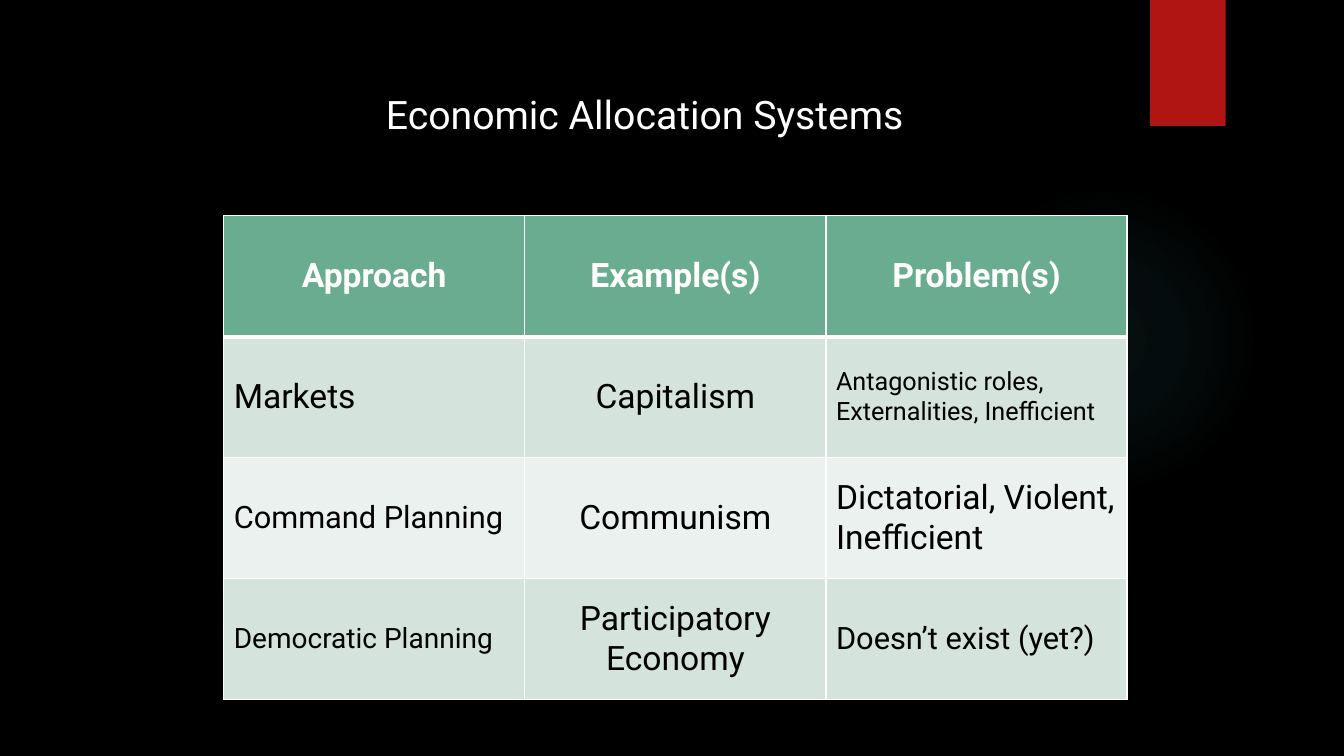
from dataclasses import dataclass

from lxml.etree import SubElement
from pptx import Presentation
from pptx.dml.color import RGBColor
from pptx.enum.shapes import MSO_SHAPE
from pptx.enum.text import MSO_ANCHOR, MSO_AUTO_SIZE, PP_ALIGN
from pptx.oxml import parse_xml
from pptx.oxml.ns import nsdecls, qn
from pptx.util import Pt


@dataclass(frozen=True)
class Theme:
    font: str = "Roboto"
    background: str = "000000"
    light: str = "FFFFFF"
    dark: str = "000000"
    ribbon: str = "B01513"
    glow: str = "50B9C1"
    header: str = "6AAC90"
    bands: tuple = ("D4E3DB", "EBF1EE")
    title_size: int = 28
    large: int = 24
    medium: int = 22
    small: int = 20
    tiny: int = 18


THEME = Theme()
HEADINGS = ("Approach", "Example(s)", "Problem(s)")
SYSTEMS = (
    (("Markets", THEME.large), ("Capitalism", THEME.large),
     ("Antagonistic roles, Externalities, Inefficient", THEME.tiny)),
    (("Command Planning", THEME.medium), ("Communism", THEME.large),
     ("Dictatorial, Violent, Inefficient", THEME.large)),
    (("Democratic Planning", THEME.small), ("Participatory Economy", THEME.large),
     ("Doesn’t exist (yet?)", THEME.medium)),
)
GLOW_STOPS = ((0, 7), (36, 6), (69, 0))
EXAMPLE_COLUMN = 1


def add_run(paragraph, text, size, color, bold=False):
    run = paragraph.add_run()
    run.text = text
    run.font.name = THEME.font
    run.font.size = Pt(size)
    run.font.bold = bold
    run.font.color.rgb = RGBColor.from_string(color)


def add_plain_shape(slide, preset, left, top, width, height):
    shape = slide.shapes.add_shape(preset, Pt(left), Pt(top), Pt(width), Pt(height))
    shape.shadow.inherit = False
    shape.line.fill.background()
    return shape


def add_glow(slide):
    glow = add_plain_shape(slide, MSO_SHAPE.OVAL, 677.5, 131.8, 221.8, 221.8)
    stops = "".join(
        f'<a:gs pos="{position * 1000}"><a:srgbClr val="{THEME.glow}">'
        f'<a:alpha val="{alpha * 1000}"/></a:srgbClr></a:gs>'
        for position, alpha in GLOW_STOPS
    )
    gradient = parse_xml(
        f'<a:gradFill {nsdecls("a")} rotWithShape="1"><a:gsLst>{stops}</a:gsLst>'
        '<a:path path="circle"><a:fillToRect l="50000" t="50000" r="50000" b="50000"/>'
        '</a:path></a:gradFill>'
    )
    glow.element.spPr.find(qn("a:prstGeom")).addnext(gradient)


def add_ribbon(slide):
    ribbon = add_plain_shape(slide, MSO_SHAPE.RECTANGLE, 821.5, 0, 54, 90)
    ribbon.fill.solid()
    ribbon.fill.fore_color.rgb = RGBColor.from_string(THEME.ribbon)
    effects = ribbon.element.spPr.find(qn("a:effectLst"))
    shadow = SubElement(effects, qn("a:outerShdw"), blurRad=str(Pt(3)),
                        dist=str(Pt(2)), dir="5400000", rotWithShape="0")
    shade = SubElement(shadow, qn("a:srgbClr"), val=THEME.dark)
    SubElement(shade, qn("a:alpha"), val="45000")


def add_title(slide, text):
    title = slide.shapes.add_textbox(Pt(268.6), Pt(61.2), Pt(422.6), Pt(41))
    frame = title.text_frame
    frame.word_wrap = True
    frame.auto_size = MSO_AUTO_SIZE.SHAPE_TO_FIT_TEXT
    add_run(frame.paragraphs[0], text, THEME.title_size, THEME.light)


def set_borders(cell, top, bottom):
    properties = cell._tc.get_or_add_tcPr()
    for side, width in (("L", 1), ("R", 1), ("T", top), ("B", bottom)):
        border = SubElement(properties, qn(f"a:ln{side}"), w=str(Pt(width)))
        fill = SubElement(border, qn("a:solidFill"))
        SubElement(fill, qn("a:srgbClr"), val=THEME.light)


def fill_cell(cell, text, size, color, background, centered, bold=False, top=1, bottom=1):
    set_borders(cell, top, bottom)
    cell.fill.solid()
    cell.fill.fore_color.rgb = RGBColor.from_string(background)
    cell.vertical_anchor = MSO_ANCHOR.MIDDLE
    paragraph = cell.text_frame.paragraphs[0]
    paragraph.alignment = PP_ALIGN.CENTER if centered else PP_ALIGN.LEFT
    add_run(paragraph, text, size, color, bold)


def add_systems_table(slide):
    frame = slide.shapes.add_table(len(SYSTEMS) + 1, len(HEADINGS),
                                   Pt(159.8), Pt(154.1), Pt(645.3), Pt(345.6))
    table = frame.table
    for column, heading in enumerate(HEADINGS):
        fill_cell(table.cell(0, column), heading, THEME.large, THEME.light,
                  THEME.header, centered=True, bold=True, bottom=3)
    for row, system in enumerate(SYSTEMS, start=1):
        band = THEME.bands[(row - 1) % len(THEME.bands)]
        for column, (text, size) in enumerate(system):
            fill_cell(table.cell(row, column), text, size, THEME.dark, band,
                      centered=column == EXAMPLE_COLUMN, top=3 if row == 1 else 1)


def main():
    presentation = Presentation()
    presentation.slide_width = Pt(960)
    presentation.slide_height = Pt(540)
    slide = presentation.slides.add_slide(presentation.slide_layouts[6])
    slide.background.fill.solid()
    slide.background.fill.fore_color.rgb = RGBColor.from_string(THEME.background)
    add_glow(slide)
    add_ribbon(slide)
    add_systems_table(slide)
    add_title(slide, "Economic Allocation Systems")
    presentation.save("out.pptx")


if __name__ == "__main__":
    main()
